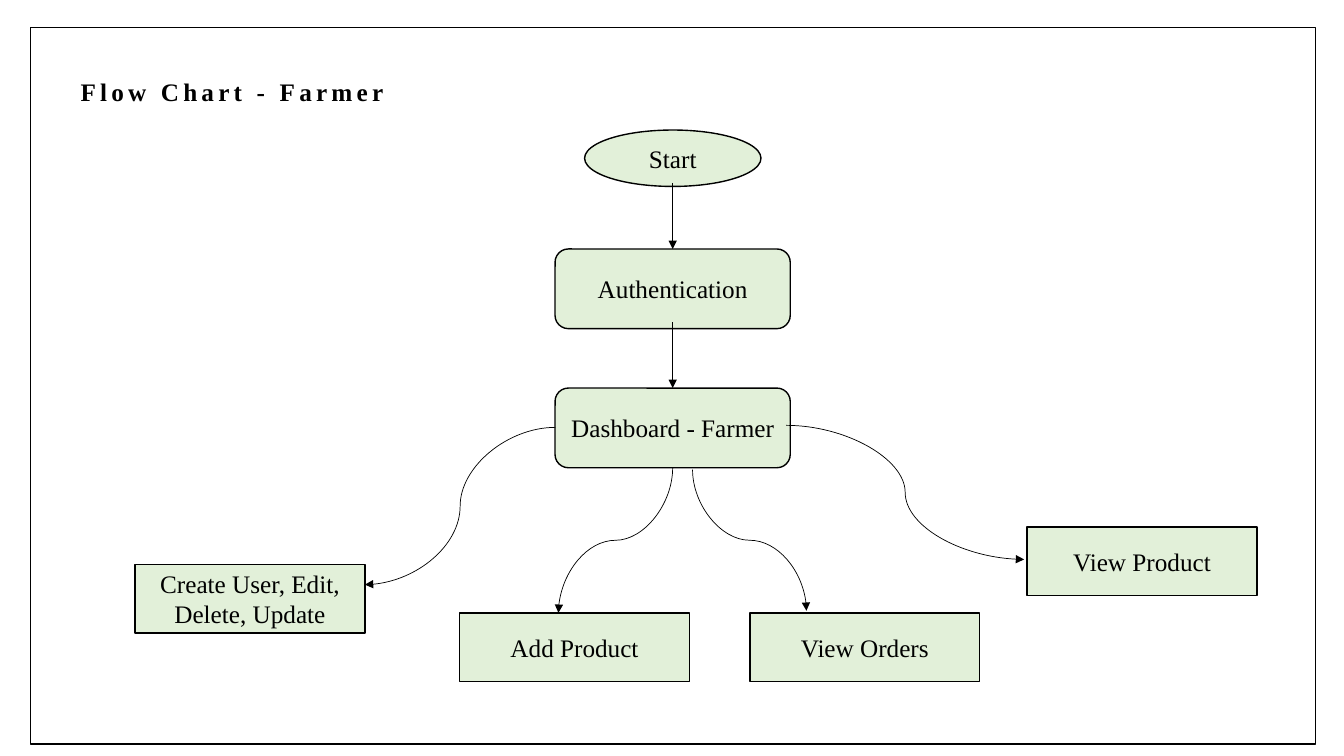
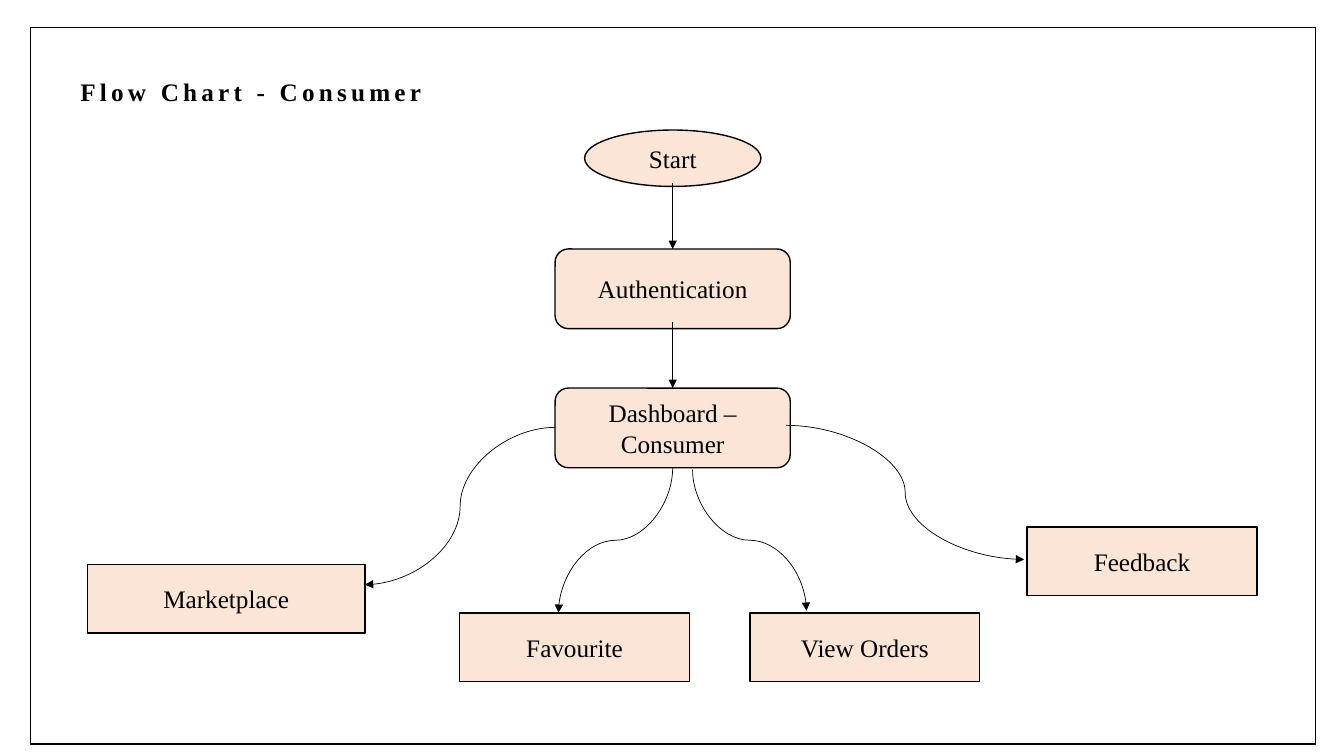
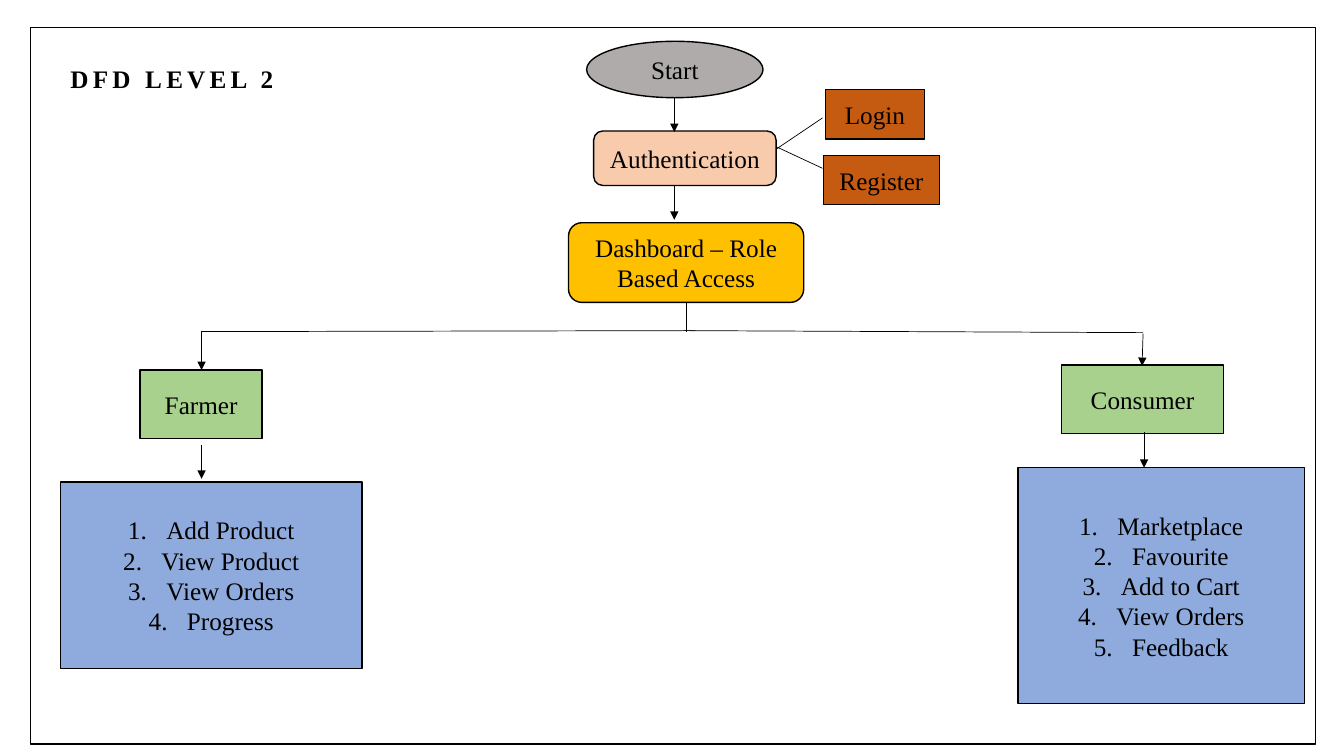
from pptx import Presentation
from pptx.dml.color import RGBColor
from pptx.enum.shapes import MSO_CONNECTOR, MSO_SHAPE
from pptx.enum.text import MSO_AUTO_SIZE, PP_ALIGN
from pptx.oxml.ns import qn
from pptx.util import Inches, Pt
from lxml.etree import SubElement

FONT = "Times New Roman"
color = RGBColor.from_string
INK = "000000"

deck = Presentation()
deck.slide_width, deck.slide_height = Inches(13.33), Inches(7.5)
COLUMN = deck.slide_width / 40
ROW = deck.slide_height / 30


def add_box(page, kind, left, top, width, height, fill=None, lines=()):
    box = page.shapes.add_shape(kind, round(left * COLUMN), round(top * ROW),
                                round(width * COLUMN), round(height * ROW))
    box.shadow.inherit = False
    box.line.color.rgb = color(INK)
    box.line.width = Pt(1)
    if fill:
        box.fill.solid()
        box.fill.fore_color.rgb = color(fill)
    else:
        box.fill.background()
    for index, line in enumerate(lines):
        frame = box.text_frame
        para = frame.add_paragraph() if index else frame.paragraphs[0]
        para.text = line
        para.alignment = PP_ALIGN.CENTER
        if len(lines) > 1:
            settings = para._p.get_or_add_pPr()
            settings.set("marL", str(Inches(0.38)))
            settings.set("indent", str(-Inches(0.38)))
            SubElement(settings, qn("a:buAutoNum"), type="arabicPeriod")
        para.font.name = FONT
        para.font.size = Pt(18)
        para.font.color.rgb = color(INK)


def add_line(page, start, end, kind=MSO_CONNECTOR.STRAIGHT, arrow=True, downward=False):
    x1, y1, x2, y2 = start[0] * COLUMN, start[1] * ROW, end[0] * COLUMN, end[1] * ROW
    leftward = x2 < x1
    if downward:
        middle_x, middle_y = (x1 + x2) / 2, (y1 + y2) / 2
        along = (y2 - y1) / 2 if leftward else (y1 - y2) / 2
        across = abs(x2 - x1) / 2
        x1, x2 = middle_x - along, middle_x + along
        y1, y2 = middle_y - across, middle_y + across
    line = page.shapes.add_connector(kind, round(x1), round(y1), round(x2), round(y2))
    if downward:
        line._element.spPr.find(qn("a:xfrm")).set("rot", str((90 if leftward else 270) * 60000))
    line.line.color.rgb = color(INK)
    line.line.width = Pt(0.5)
    if arrow:
        SubElement(line.line._get_or_add_ln(), qn("a:tailEnd"), type="triangle")
    SubElement(line._element.spPr, qn("a:effectLst"))


pages = []
for title, left, top, width in [
    ("Flow Chart - Farmer", 2.1, 2.84, 11.25),
    ("Flow Chart - Consumer", 2.1, 2.84, 17.91),
    ("DFD LEVEL 2", 1.8, 2.32, 16.47),
]:
    page = deck.slides.add_slide(deck.slide_layouts[6])
    add_box(page, MSO_SHAPE.RECTANGLE, 0.9, 1.08, 38.25, 28.44)
    box = page.shapes.add_textbox(round(left * COLUMN), round(top * ROW),
                                  round(width * COLUMN), round(1.6 * ROW))
    box.text_frame.word_wrap = True
    box.text_frame.auto_size = MSO_AUTO_SIZE.SHAPE_TO_FIT_TEXT
    para = box.text_frame.paragraphs[0]
    span = para.add_run()
    span.text = title
    span._r.get_or_add_rPr().set("spc", "300")
    para.font.name = FONT
    para.font.size = Pt(18)
    para.font.bold = True
    para.font.color.rgb = color(INK)
    pages.append(page)

farmer_page, consumer_page, levels_page = pages

CENTER = 20.02
STEP_WIDTH, STEP_HEIGHT = 7, 3.16
TASK_WIDTH, TASK_HEIGHT = 6.84, 2.72
FIRST_TASK_RIGHT = 10.86

for page, fill, dashboard, first_width, tasks in [
    (farmer_page, "E2F0D9", "Dashboard - Farmer", TASK_WIDTH,
     ["Create User, Edit, Delete, Update", "Add Product", "View Orders", "View Product"]),
    (consumer_page, "FBE5D6", "Dashboard – Consumer", 8.25,
     ["Marketplace", "Favourite", "View Orders", "Feedback"]),
]:
    add_box(page, MSO_SHAPE.OVAL, 17.4, 5.16, 5.25, 2.24, fill, ["Start"])
    for step, top in [("Authentication", 9.88), (dashboard, 15.4)]:
        add_box(page, MSO_SHAPE.ROUNDED_RECTANGLE, CENTER - STEP_WIDTH / 2, top,
                STEP_WIDTH, STEP_HEIGHT, fill, [step])
        add_line(page, (CENTER, top - 2.62), (CENTER, top))

    places = [(FIRST_TASK_RIGHT - first_width, 22.4, first_width),
              (13.68, 24.32, TASK_WIDTH),
              (22.32, 24.32, TASK_WIDTH),
              (30.57, 20.92, TASK_WIDTH)]
    for task, (left, top, width) in zip(tasks, places):
        add_box(page, MSO_SHAPE.RECTANGLE, left, top, width, TASK_HEIGHT, fill, [task])

    for start, end, downward in [
        ((16.53, 16.96), (FIRST_TASK_RIGHT, 23.2), False),
        ((CENTER, 18.56), (16.62, 24.32), True),
        ((20.61, 18.64), (24, 24.24), True),
        ((23.4, 16.88), (30.48, 22.2), False),
    ]:
        add_line(page, start, end, MSO_CONNECTOR.CURVE, downward=downward)

for kind, left, top, width, height, fill, lines in [
    (MSO_SHAPE.OVAL, 17.46, 1.64, 5.25, 2.24, "AFABAB", ["Start"]),
    (MSO_SHAPE.ROUNDED_RECTANGLE, 17.67, 5.2, 5.43, 2.16, "F8CBAD", ["Authentication"]),
    (MSO_SHAPE.ROUNDED_RECTANGLE, 16.92, 8.84, STEP_WIDTH, STEP_HEIGHT, "FFC000",
     ["Dashboard – Role Based Access"]),
    (MSO_SHAPE.RECTANGLE, 24.57, 3.56, 2.94, 1.96, "C55A11", ["Login"]),
    (MSO_SHAPE.RECTANGLE, 24.51, 6.16, 3.45, 1.96, "C55A11", ["Register"]),
    (MSO_SHAPE.RECTANGLE, 4.17, 14.68, 3.63, TASK_HEIGHT, "A9D18E", ["Farmer"]),
    (MSO_SHAPE.RECTANGLE, 31.59, 14.48, 4.83, TASK_HEIGHT, "A9D18E", ["Consumer"]),
    (MSO_SHAPE.RECTANGLE, 1.8, 19.12, 8.97, 7.4, "8FAADC",
     ["Add Product", "View Product", "View Orders", "Progress"]),
    (MSO_SHAPE.RECTANGLE, 30.3, 18.56, 8.52, 9.36, "8FAADC",
     ["Marketplace", "Favourite", "Add to Cart", "View Orders", "Feedback"]),
]:
    add_box(levels_page, kind, left, top, width, height, fill, lines)

for start, end in [
    ((20.07, 3.84), (20.07, 5.24)),
    ((20.07, 7.36), (20.07, 8.72)),
    ((6, 13.12), (6, 14.68)),
    ((34.02, 13.24), (33.99, 14.52)),
    ((6, 17.64), (6, 19)),
    ((34.05, 17.16), (34.05, 18.56)),
]:
    add_line(levels_page, start, end)

for start, end in [
    ((23.1, 5.92), (24.48, 4.68)),
    ((23.13, 5.84), (24.48, 6.68)),
    ((20.43, 12), (20.43, 13.16)),
    ((20.7, 13.12), (6, 13.16)),
    ((34.02, 13.2), (20.34, 13.12)),
]:
    add_line(levels_page, start, end, arrow=False)

deck.save("out.pptx")
